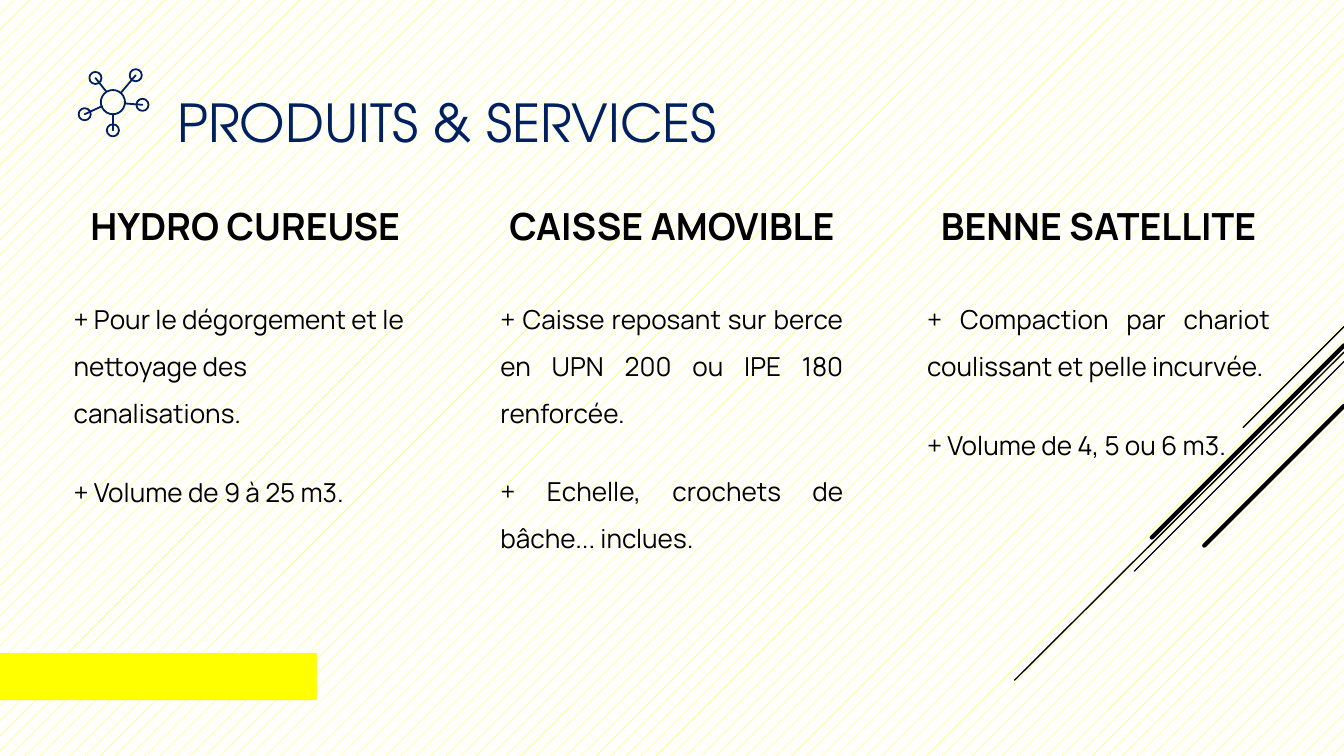
import dataclasses
import typing

import lxml.etree
import pptx
import pptx.dml.color
import pptx.enum.dml
import pptx.enum.shapes
import pptx.enum.text
import pptx.oxml.ns
import pptx.util

Inches = pptx.util.Inches
Pt = pptx.util.Pt
Align = pptx.enum.text.PP_ALIGN
AutoSize = pptx.enum.text.MSO_AUTO_SIZE
Shape = pptx.enum.shapes.MSO_SHAPE


@dataclasses.dataclass(frozen=True)
class Theme:
    navy: str = "002060"
    yellow: str = "FFFF00"
    white: str = "FFFFFF"
    black: str = "000000"
    title_font: str = "TeX Gyre Adventor"
    body_font: str = "Manrope"
    title_size: float = 28
    heading_size: float = 20
    body_size: float = 14
    icon_line: float = 0.96
    thin_line: float = 0.75
    thick_line: float = 2.25


class Point(typing.NamedTuple):
    x: float
    y: float


class Stroke(typing.NamedTuple):
    start: Point
    end: Point
    weight: float


class Spoke(typing.NamedTuple):
    node: Point
    hub_edge: Point


class Column(typing.NamedTuple):
    heading: str
    items: tuple[str, ...]
    align: Align
    height: float
    item_gap: float


THEME = Theme()
PAGE_WIDTH = 10
PAGE_HEIGHT = PAGE_WIDTH * 9 / 16
COLUMN_TOP, COLUMN_WIDTH = 1.46, 2.75
FIRST_LEFT, LAST_LEFT = 0.45, 6.8
HUB, HUB_SIZE, NODE_SIZE = Point(0.84, 0.76), 0.18, 0.09

STROKES = (
    Stroke(Point(10, 2.43), Point(9.25, 3.18), THEME.thin_line),
    Stroke(Point(10, 2.62), Point(7.55, 5.06), THEME.thin_line),
    Stroke(Point(10, 2.69), Point(8.44, 4.25), THEME.thin_line),
    Stroke(Point(10, 2.57), Point(8.57, 4), THEME.thick_line),
    Stroke(Point(10, 3.02), Point(8.96, 4.06), THEME.thick_line),
)
SPOKES = (
    Spoke(Point(0.71, 0.58), Point(0.79, 0.68)),
    Spoke(Point(1.01, 0.56), Point(0.9, 0.69)),
    Spoke(Point(1.06, 0.78), Point(0.93, 0.77)),
    Spoke(Point(0.84, 0.97), Point(0.84, 0.85)),
    Spoke(Point(0.63, 0.85), Point(0.76, 0.79)),
)
COLUMNS = (
    Column(
        "HYDRO CUREUSE",
        ("+ Pour le dégorgement et le nettoyage des canalisations.", "+ Volume de 9 à 25 m3."),
        Align.LEFT, 2.04, 16.8,
    ),
    Column(
        "CAISSE AMOVIBLE",
        ("+ Caisse reposant sur berce en UPN 200 ou IPE 180 renforcée.",
         "+ Echelle, crochets de bâche... inclues."),
        Align.JUSTIFY, 2.73, 16.2,
    ),
    Column(
        "BENNE SATELLITE",
        ("+ Compaction par chariot coulissant et pelle incurvée.", "+ Volume de 4, 5 ou 6 m3."),
        Align.JUSTIFY, 2.04, 16.8,
    ),
)


def rgb(value: str) -> pptx.dml.color.RGBColor:
    return pptx.dml.color.RGBColor.from_string(value)


def apply_format(target: typing.Any, values: dict[str, typing.Any]) -> None:
    for name, value in values.items():
        setattr(target, name, value)


def write_span(para: typing.Any, text: str, color: str, values: dict[str, typing.Any]) -> None:
    span = para.add_run()
    span.text = text
    apply_format(span.font, values)
    span.font.color.rgb = rgb(color)


def draw_line(shapes: typing.Any, start: Point, end: Point, color: str, weight: float) -> None:
    line = shapes.add_connector(
        pptx.enum.shapes.MSO_CONNECTOR.STRAIGHT,
        Inches(start.x), Inches(start.y), Inches(end.x), Inches(end.y),
    )
    line.line.color.rgb = rgb(color)
    line.line.width = Pt(weight)
    line.get_or_add_ln().set("cap", "rnd")
    lxml.etree.SubElement(line._element.spPr, pptx.oxml.ns.qn("a:effectLst"))


def draw_ring(shapes: typing.Any, center: Point, size: float) -> None:
    ring = shapes.add_shape(
        Shape.OVAL, Inches(center.x - size / 2), Inches(center.y - size / 2),
        Inches(size), Inches(size),
    )
    ring.shadow.inherit = False
    ring.fill.background()
    ring.line.color.rgb = rgb(THEME.navy)
    ring.line.width = Pt(THEME.icon_line)


def draw_network_icon(page: typing.Any) -> None:
    icon = page.shapes.add_group_shape()
    draw_ring(icon.shapes, HUB, HUB_SIZE)
    for spoke in SPOKES:
        draw_ring(icon.shapes, spoke.node, NODE_SIZE)
        draw_line(icon.shapes, spoke.node, spoke.hub_edge, THEME.navy, THEME.icon_line)


def draw_title(page: typing.Any, text: str) -> None:
    title = page.shapes.title
    apply_format(title, {
        "left": Inches(1.22), "top": Inches(0.34),
        "width": Inches(4.77), "height": Inches(0.89),
    })
    margins = ("margin_left", "margin_right", "margin_top", "margin_bottom")
    apply_format(title.text_frame, dict.fromkeys(margins, Inches(0.1)) | {
        "auto_size": AutoSize.NONE, "word_wrap": True,
        "vertical_anchor": pptx.enum.text.MSO_ANCHOR.TOP,
    })
    para = title.text_frame.paragraphs[0]
    apply_format(para, {"alignment": Align.LEFT, "line_spacing": 1.5})
    write_span(para, text, THEME.navy, {"name": THEME.title_font, "size": Pt(THEME.title_size)})


def draw_column(page: typing.Any, column: Column, left: float) -> None:
    box = page.shapes.add_textbox(
        Inches(left), Inches(COLUMN_TOP), Inches(COLUMN_WIDTH), Inches(column.height)
    )
    frame = box.text_frame
    apply_format(frame, {"word_wrap": True, "auto_size": AutoSize.SHAPE_TO_FIT_TEXT})
    heading = frame.paragraphs[0]
    heading.alignment = Align.CENTER
    write_span(heading, column.heading, THEME.black, {
        "name": THEME.body_font, "size": Pt(THEME.heading_size), "bold": True,
    })
    for index, item in enumerate(column.items):
        para = frame.add_paragraph()
        apply_format(para, {
            "alignment": column.align, "line_spacing": 1.5,
            "space_before": Pt(column.item_gap if index else 21.6),
        })
        write_span(para, item, THEME.black, {
            "name": THEME.body_font, "size": Pt(THEME.body_size), "bold": False,
        })


def main() -> None:
    deck = pptx.Presentation()
    apply_format(deck, {"slide_width": Inches(PAGE_WIDTH), "slide_height": Inches(PAGE_HEIGHT)})
    page = deck.slides.add_slide(deck.slide_layouts.get_by_name("Title Only"))

    backdrop = page.background.fill
    backdrop.patterned()
    backdrop.pattern = pptx.enum.dml.MSO_PATTERN.PERCENT_10
    backdrop.fore_color.rgb = rgb(THEME.yellow)
    backdrop.back_color.rgb = rgb(THEME.white)

    for stroke in STROKES:
        draw_line(page.shapes, stroke.start, stroke.end, THEME.black, stroke.weight)
    draw_title(page, "PRODUITS & SERVICES")

    bar = page.shapes.add_shape(
        Shape.RECTANGLE, Inches(0), Inches(4.86), Inches(2.36), Inches(0.35)
    )
    bar.shadow.inherit = False
    bar.fill.solid()
    bar.fill.fore_color.rgb = rgb(THEME.yellow)
    bar.line.fill.background()

    draw_network_icon(page)
    column_step = (LAST_LEFT - FIRST_LEFT) / (len(COLUMNS) - 1)
    for index, column in enumerate(COLUMNS):
        draw_column(page, column, FIRST_LEFT + index * column_step)
    deck.save("out.pptx")


if __name__ == "__main__":
    main()
